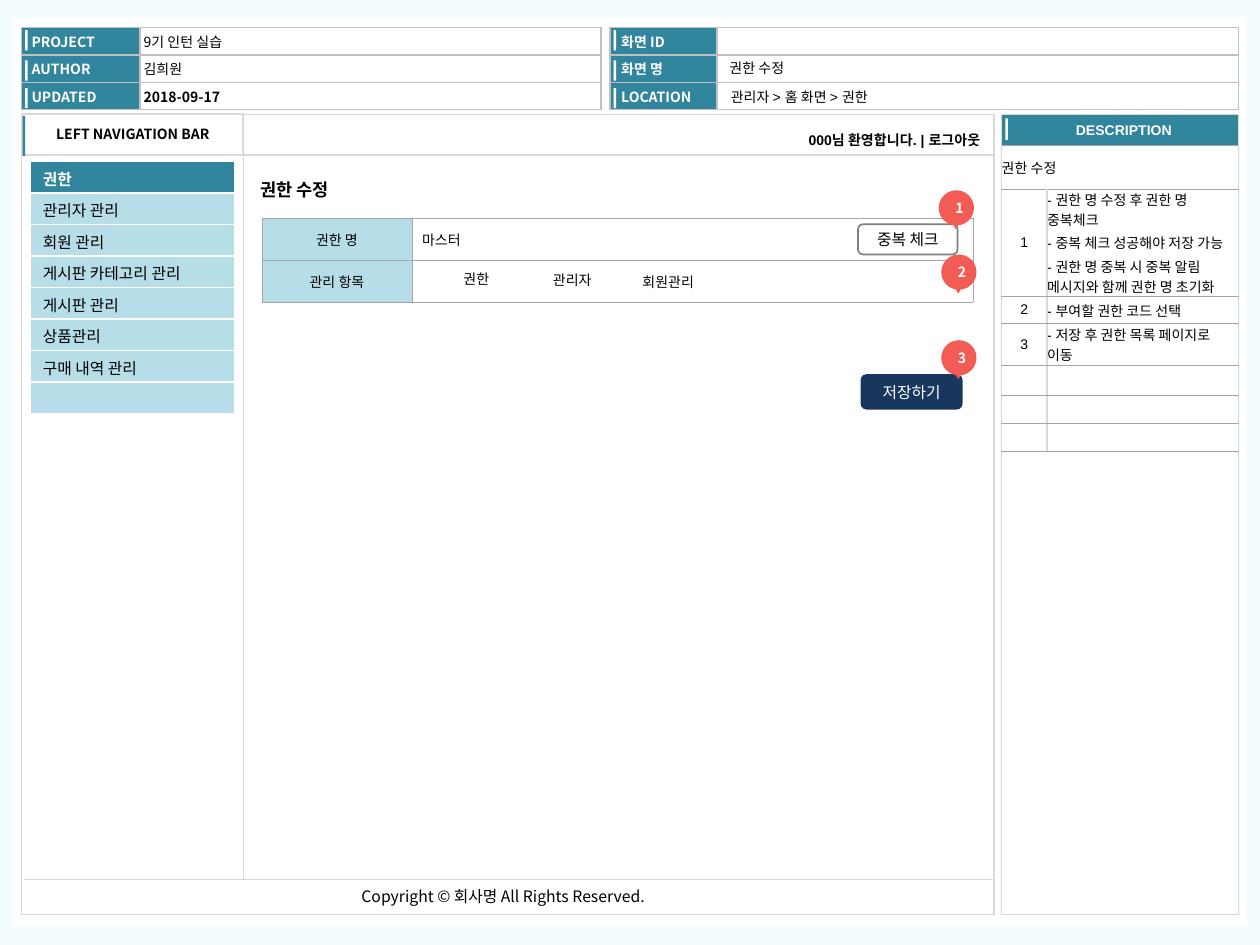
import pptx
import pptx.dml.color
import pptx.enum.shapes
import pptx.enum.text
import pptx.oxml.ns
import pptx.util
from lxml import etree

Inches, Pt = pptx.util.Inches, pptx.util.Pt
RGBColor = pptx.dml.color.RGBColor
SHAPE = pptx.enum.shapes.MSO_SHAPE
ALIGN = pptx.enum.text.PP_ALIGN
ANCHOR = pptx.enum.text.MSO_ANCHOR
qn = pptx.oxml.ns.qn

WHITE = RGBColor(0xFF, 0xFF, 0xFF)
BLACK = RGBColor(0, 0, 0)
PAGE = RGBColor(0xF3, 0xFC, 0xFF)
TEAL = RGBColor(0x31, 0x85, 0x9C)
LIGHT_BLUE = RGBColor(0xB7, 0xDE, 0xE8)
NAVY = RGBColor(0x17, 0x37, 0x5E)
CORAL = RGBColor(0xF2, 0x5C, 0x54)
SILVER = RGBColor(0xC0, 0xC0, 0xC0)
PALE_GRAY = RGBColor(0xD9, 0xD9, 0xD9)
MID_GRAY = RGBColor(0xA6, 0xA6, 0xA6)
DARK_GRAY = RGBColor(0x80, 0x80, 0x80)
NOTO, ARIAL = "Noto Sans CJK KR", "Arial"
TIGHT = (0.08, 0.04, 0.08, 0.04)
DEFAULT = (0.1, 0.05, 0.1, 0.05)
NONE = (0, 0, 0, 0)

PROJECT_INFO = [("PROJECT", "9기 인턴 실습"), ("AUTHOR", "김희원"), ("UPDATED", "2018-09-17")]
SCREEN_INFO = ["화면 ID", "화면 명", "LOCATION"]
SCREEN_VALUES = [(5.72, 0.66, "관리자 > 홈 화면 > 권한"), (5.71, 0.43, "권한 수정")]
NAVIGATION = ["권한", "관리자 관리", "회원 관리", "게시판 카테고리 관리", "게시판 관리",
              "상품관리", "구매 내역 관리", ""]
DESCRIPTIONS = [
    ("권한 수정", "", 0.35),
    ("1", "- 권한 명 수정 후 권한 명 중복체크\n- 중복 체크 성공해야 저장 가능\n"
          "- 권한 명 중복 시 중복 알림 메시지와 함께 권한 명 초기화", 0.85),
    ("2", "- 부여할 권한 코드 선택", 0.22),
    ("3", "- 저장 후 권한 목록 페이지로 이동", 0.33),
    ("", "", 0.24), ("", "", 0.22), ("", "", 0.22),
]
FORM = [("권한 명", "마스터"), ("관리 항목", "")]
PERMISSIONS = [(3.58, 2.1, 0.43, "권한"), (4.29, 2.11, 0.54, "관리자"), (5, 2.12, 0.65, "회원관리")]
BADGES = [("1", 7.45, 1.51), ("3", 7.47, 2.7), ("2", 7.47, 2.02)]

presentation = pptx.Presentation()
presentation.slide_width, presentation.slide_height = Inches(10), Inches(7.5)
slide = presentation.slides.add_slide(presentation.slide_layouts[6])
slide.background.fill.solid()
slide.background.fill.fore_color.rgb = PAGE


def write(frame, text, size=8, font=NOTO, color=BLACK, bold=False, align=ALIGN.LEFT, before=0):
    """Fill a text frame, one paragraph for each line of text."""
    for index, line in enumerate(text.split("\n")):
        paragraph = frame.paragraphs[0] if index == 0 else frame.add_paragraph()
        paragraph.alignment = align
        paragraph.space_before = Pt(before)
        if not line:
            etree.SubElement(paragraph._p, qn("a:endParaRPr"), sz=str(size * 100))
            continue
        run = paragraph.add_run()
        run.text = line
        run.font.size, run.font.name, run.font.bold = Pt(size), font, bold
        run.font.color.rgb = color
        etree.SubElement(run._r.get_or_add_rPr(), qn("a:ea"), typeface=NOTO)


def set_insets(target, insets):
    (target.margin_left, target.margin_top,
     target.margin_right, target.margin_bottom) = map(Inches, insets)


def add_box(x, y, width, height, fill=None, line=None, line_width=0.75, kind=SHAPE.RECTANGLE,
            text="", insets=DEFAULT, parent=None, **text_format):
    shape = (parent or slide).shapes.add_shape(
        kind, Inches(x), Inches(y), Inches(width), Inches(height))
    shape.shadow.inherit = False
    if fill is None:
        shape.fill.background()
    else:
        shape.fill.solid()
        shape.fill.fore_color.rgb = fill
    if line is None:
        shape.line.fill.background()
    else:
        shape.line.color.rgb = line
        shape.line.width = Pt(line_width)
    if text:
        set_insets(shape.text_frame, insets)
        shape.text_frame.vertical_anchor = ANCHOR.MIDDLE
        write(shape.text_frame, text, align=ALIGN.CENTER, **text_format)
    return shape


def add_text(x, y, width, height, text, insets=DEFAULT, wrap=False, **text_format):
    box = slide.shapes.add_textbox(Inches(x), Inches(y), Inches(width), Inches(height))
    box.text_frame.word_wrap = wrap
    set_insets(box.text_frame, insets)
    write(box.text_frame, text, **text_format)


def add_line(x1, y1, x2, y2, width=1):
    connector = slide.shapes.add_connector(
        pptx.enum.shapes.MSO_CONNECTOR.STRAIGHT, Inches(x1), Inches(y1), Inches(x2), Inches(y2))
    connector.line.color.rgb = PALE_GRAY
    connector.line.width = Pt(width)
    etree.SubElement(connector._element.spPr, qn("a:effectLst"))


def add_table(x, y, columns, rows):
    shape = slide.shapes.add_table(len(rows), len(columns), Inches(x), Inches(y),
                                   Inches(sum(columns)), Inches(sum(rows)))
    table = shape.table
    table.first_row = table.horz_banding = False
    for column, width in zip(table.columns, columns):
        column.width = Inches(width)
    for row, height in zip(table.rows, rows):
        row.height = Inches(height)
    return table


def fill_cell(cell, text="", fill=None, sides=(SILVER, 1), levels=None, insets=NONE, **text_format):
    """Format a cell; sides and levels are (colour, width) of its vertical and level borders."""
    set_insets(cell, insets)
    cell.vertical_anchor = ANCHOR.MIDDLE
    write(cell.text_frame, text, **text_format)
    properties = cell._tc.get_or_add_tcPr()
    for tag, (color, width) in zip(("lnL", "lnR", "lnT", "lnB"),
                                   [sides] * 2 + [levels or sides] * 2):
        border = etree.SubElement(properties, qn("a:" + tag), w=str(Pt(width)))
        solid = etree.SubElement(border, qn("a:solidFill"))
        etree.SubElement(solid, qn("a:srgbClr"), val=str(color))
    if fill is None:
        cell.fill.background()
    else:
        cell.fill.solid()
        cell.fill.fore_color.rgb = fill


# Header
add_box(0.1, 0.14, 9.79, 7.21, fill=WHITE)
LABEL = dict(fill=TEAL, color=WHITE, bold=True, before=1.6)
HEADER_ROWS = [0.65 / 3] * 3
project_table = add_table(0.17, 0.22, [0.94, 3.66], HEADER_ROWS)
screen_table = add_table(4.84, 0.22, [0.85, 4.14], HEADER_ROWS)
for row, ((label, value), screen_label) in enumerate(zip(PROJECT_INFO, SCREEN_INFO)):
    fill_cell(project_table.cell(row, 0), label, insets=(0.08, 0, 0.03, 0), **LABEL)
    fill_cell(project_table.cell(row, 1), value, fill=WHITE, insets=(0.03, 0, 0.03, 0),
              bold=label == "UPDATED", before=1.6)
    fill_cell(screen_table.cell(row, 0), screen_label, insets=(0.09, 0, 0.03, 0), **LABEL)
    fill_cell(screen_table.cell(row, 1), fill=WHITE)
for x in (0.2, 4.87):
    for y in (0.24, 0.48, 0.7):
        add_box(x, y, 0.02, 0.16, fill=WHITE)
for x, y, text in SCREEN_VALUES:
    add_text(x, y, 2.9, 0.2, text, insets=TIGHT, wrap=True, font=ARIAL)

# Description panel
add_box(0.17, 0.91, 7.72, 6.35, line=PALE_GRAY)
panel = add_table(7.95, 0.91, [1.88], [0.25, 6.1])
fill_cell(panel.cell(0, 0), "DESCRIPTION", sides=(PALE_GRAY, 1), font=ARIAL,
          align=ALIGN.CENTER, insets=(0.06, 0, 0, 0), **LABEL)
fill_cell(panel.cell(1, 0), fill=WHITE, sides=(PALE_GRAY, 1))
add_box(7.98, 0.94, 0.02, 0.17, fill=WHITE)
notes = add_table(7.95, 1.15, [0.36, 1.52], [height for _, _, height in DESCRIPTIONS])
for row, (number, note, _) in enumerate(DESCRIPTIONS):
    for column, text in enumerate((number, note)):
        centered = row > 0 and column == 0
        fill_cell(notes.cell(row, column), text, fill=WHITE, sides=(PALE_GRAY, 1),
                  levels=(MID_GRAY, 0.5), font=ARIAL, before=1.6,
                  align=ALIGN.CENTER if centered else ALIGN.LEFT)
notes.cell(0, 0).merge(notes.cell(0, 1))

# Page frame and navigation
add_line(0.19, 6.98, 7.89, 6.98)
add_text(2.77, 6.99, 2.52, 0.25, "Copyright © 회사명 All Rights Reserved.", size=9)
add_box(0.18, 0.9, 1.75, 0.33, line=PALE_GRAY, text="LEFT NAVIGATION BAR", bold=True)
add_box(0.18, 0.92, 0.02, 0.32, fill=TEAL)
add_line(1.93, 0.91, 1.93, 6.98, width=0.75)
add_line(1.93, 1.23, 7.89, 1.23)
add_text(5.28, 1, 2.58, 0.22, "000님 환영합니다. | 로그아웃", insets=TIGHT, wrap=True,
         font=ARIAL, bold=True, align=ALIGN.RIGHT)
menu = add_table(0.24, 1.28, [1.62], [0.25] * len(NAVIGATION))
for row, item in enumerate(NAVIGATION):
    active = row == 0
    fill_cell(menu.cell(row, 0), item, fill=TEAL if active else LIGHT_BLUE, sides=(WHITE, 1),
              insets=(0.1, 0.04, 0.1, 0.02), size=9, color=WHITE if active else BLACK, bold=active)

# Edit form
add_text(1.97, 1.37, 0.81, 0.27, "권한 수정", size=10, bold=True)
add_box(6.83, 2.97, 0.81, 0.28, fill=NAVY, kind=SHAPE.ROUNDED_RECTANGLE, text="저장하기",
        size=9, color=WHITE)
form = add_table(2.08, 1.73, [1.19, 4.45], [0.67 / 2] * 2)
for row, (label, value) in enumerate(FORM):
    fill_cell(form.cell(row, 0), label, fill=LIGHT_BLUE, sides=(MID_GRAY, 0.25), insets=TIGHT,
              align=ALIGN.CENTER, before=1.6)
    fill_cell(form.cell(row, 1), value, sides=(MID_GRAY, 0.25), insets=TIGHT, before=1.6)
add_box(6.81, 1.78, 0.79, 0.24, fill=WHITE, line=DARK_GRAY, line_width=1,
        kind=SHAPE.ROUNDED_RECTANGLE, text="중복 체크", size=9)
for x, y, width, text in PERMISSIONS:
    add_text(x, y, width, 0.24, text)

for number, x, y in BADGES:
    badge = slide.shapes.add_group_shape()
    add_box(x, y, 0.28, 0.28, fill=CORAL, kind=SHAPE.OVAL, text=number, parent=badge,
            insets=(0.05, 0, 0, 0), color=WHITE, bold=True)
    pointer = add_box(x + 0.09, y + 0.23, 0.09, 0.08, fill=CORAL,
                      kind=SHAPE.ISOSCELES_TRIANGLE, parent=badge)
    pointer.rotation = 180

presentation.save("out.pptx")
